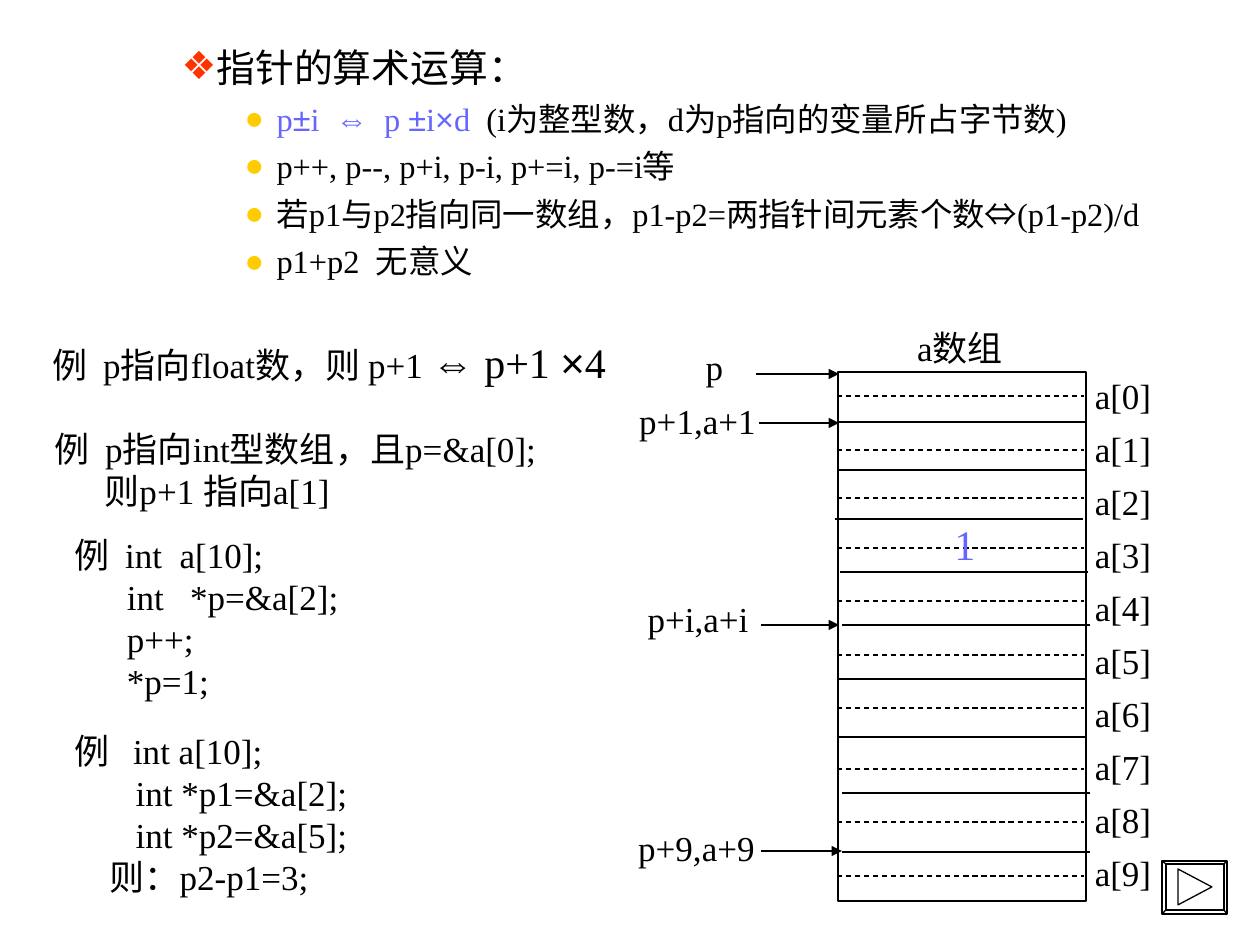
from itertools import groupby

from lxml import etree
from pptx import Presentation
from pptx.dml.color import RGBColor
from pptx.enum.dml import MSO_LINE
from pptx.enum.shapes import MSO_CONNECTOR, MSO_SHAPE
from pptx.enum.text import MSO_ANCHOR, MSO_AUTO_SIZE, PP_ALIGN
from pptx.oxml.ns import qn
from pptx.util import Emu, Pt

RECT = MSO_SHAPE.RECTANGLE
STRAIGHT = MSO_CONNECTOR.STRAIGHT
DASH = MSO_LINE.DASH
MIDDLE, TOP = MSO_ANCHOR.MIDDLE, MSO_ANCHOR.TOP
CENTER, LEFT = PP_ALIGN.CENTER, PP_ALIGN.LEFT
FIXED = MSO_AUTO_SIZE.NONE

PX = 914400 / 126
FONT, SIGN = "Times New Roman", "Arial"
INK = {"black": "000000", "white": "FFFFFF", "blue": "6666FF",
       "red": "FF3300", "gold": "FFCC00"}
INK = {name: RGBColor.from_string(code) for name, code in INK.items()}


def add_text(para, text, size, ink="black"):
    """Append text to a paragraph, with the math signs in their own font."""
    for sign, chars in groupby(text, lambda char: char in "±⇔×"):
        run = para.add_run()
        run.text = "".join(chars)
        run.font.name = SIGN if sign else FONT
        run.font.size = Pt(size)
        run.font.color.rgb = INK[ink]


def add_line(x1, y, x2):
    ends = [Emu(round(n * PX)) for n in (x1, y, x2, y)]
    line = slide.shapes.add_connector(STRAIGHT, *ends)
    line.line.color.rgb = INK["black"]
    line.line.width = Pt(0.75)
    etree.SubElement(line._element.spPr, qn("a:effectLst"))
    return line


deck = Presentation()
deck.slide_width, deck.slide_height = Emu(round(1260 * PX)), Emu(round(945 * PX))
slide = deck.slides.add_slide(deck.slide_layouts[1])
title = slide.shapes.title._element
title.getparent().remove(title)

# Rules of pointer arithmetic
body = slide.placeholders[1]
body.left, body.top, body.width, body.height = (
    Emu(round(n * PX)) for n in (43, 37, 1188, 268))
frame = body.text_frame
frame.word_wrap = True
frame.auto_size = FIXED
frame.vertical_anchor = TOP
rules = [
    [("指针的算术运算：", "black")],
    [("p±i  ⇔  p ±i×d", "blue"),
     ("  (i为整型数，d为p指向的变量所占字节数)", "black")],
    [("p++, p--, p+i, p-i, p+=i, p-=i等", "black")],
    [("若p1与p2指向同一数组，p1-p2=两指针间元素个数⇔(p1-p2)/d", "black")],
    [("p1+p2  无意义", "black")],
]
for i, parts in enumerate(rules):
    para = frame.add_paragraph() if i else frame.paragraphs[0]
    para.level = 2 if i else 1
    margin, mark, tint, size = (221, "●", "gold", 18.5) if i else (158, "❖", "red", 22.2)
    props = para._p.get_or_add_pPr()
    props.set("marL", str(round(margin * PX)))
    props.set("indent", str(round(-32 * PX)))
    color = etree.SubElement(props, qn("a:buClr"))
    etree.SubElement(color, qn("a:srgbClr"), val=str(INK[tint]))
    etree.SubElement(props, qn("a:buFont"), typeface=SIGN)
    etree.SubElement(props, qn("a:buChar"), char=mark)
    para.space_before = Pt(5 if i else 0)
    for text, ink in parts:
        add_text(para, text, size, ink)

# The array and its cells
array = slide.shapes.add_shape(RECT, *(Emu(round(n * PX)) for n in (838, 372, 248, 529)))
array.shadow.inherit = False
array.fill.solid()
array.fill.fore_color.rgb = INK["white"]
array.line.color.rgb = INK["black"]
array.line.width = Pt(0.75)

borders = [(838, 422), (839, 470), (835, 519), (840, 572), (842, 625),
           (839, 679), (839, 737), (842, 793), (842, 852)]
for x, y in borders:
    add_line(x, y, x + 248)
for y in (396, 450, 498, 548, 601, 655, 708, 769, 822, 876):
    add_line(837, y, 1084).line.dash_style = DASH
for x, y, tip in ((756, 374, 839), (759, 423, 839), (761, 625, 839), (761, 851, 842)):
    arrow = add_line(x, y, tip)
    etree.SubElement(arrow.line._get_or_add_ln(), qn("a:tailEnd"), type="triangle")

# Labels and examples: text, box, size, ink, anchor, alignment
labels = [(f"a[{i}]", (1082, 368 + 53 * i, 82, 55)) for i in range(10)]
labels += [
    ("a数组", (901, 320, 118, 55)),
    ("p", (693, 339, 43, 55)),
    ("p+1,a+1", (627, 393, 141, 55)),
    ("p+i,a+i", (635, 591, 126, 55)),
    ("p+9,a+9", (626, 820, 141, 55)),
]
notes = [(text, box, 20, "black", MIDDLE, CENTER) for text, box in labels]
notes += [
    ("例  p指向float数，则 p+1 ", (40, 330, 626, 63), 20, "black", MIDDLE, LEFT),
    ("例  p指向int型数组，且p=&a[0];\n则p+1 指向a[1]",
     (42, 421, 548, 97), 20, "black", MIDDLE, LEFT),
    ("例  int  a[10];\n      int   *p=&a[2];\n      p++;\n      *p=1;",
     (62, 527, 289, 181), 20, "black", MIDDLE, LEFT),
    ("例   int a[10];\n       int *p1=&a[2];\n       int *p2=&a[5];\n则：p2-p1=3;",
     (62, 723, 297, 181), 20, "black", TOP, LEFT),
    ("1", (942, 512, 45, 63), 24, "blue", TOP, LEFT),
]
for text, box, size, ink, anchor, align in notes:
    shape = slide.shapes.add_textbox(*(Emu(round(n * PX)) for n in box))
    frame = shape.text_frame
    frame.word_wrap = False
    frame.auto_size = FIXED
    frame.vertical_anchor = anchor
    for i, row in enumerate(text.split("\n")):
        para = frame.add_paragraph() if i else frame.paragraphs[0]
        para.alignment = align
        if row.startswith("则"):
            indent = 35 if "：" in row else 50
            para._p.get_or_add_pPr().set("marL", str(round(indent * PX)))
        add_text(para, row, size, ink)
    if "float" in text:
        add_text(para, "⇔ p+1 ×4", 24)

# Bevelled button with a forward arrow
outer = [(1162, 861), (1227, 861), (1227, 914), (1162, 914)]
inner = [(1166, 864), (1224, 864), (1224, 910), (1166, 910)]
play = [(1178, 869), (1212, 887), (1178, 905)]
pen = slide.shapes.build_freeform(*outer[0], scale=PX)
pen.add_line_segments(outer[1:], close=True)
for ring in (inner, play):
    pen.move_to(*ring[0])
    pen.add_line_segments(ring[1:], close=True)
for far, near in zip(outer, inner):
    pen.move_to(*far)
    pen.add_line_segments([near], close=False)
button = pen.convert_to_shape()
button.shadow.inherit = False
button.fill.background()
button.line.color.rgb = INK["black"]
button.line.width = Pt(0.75)

deck.save("out.pptx")
